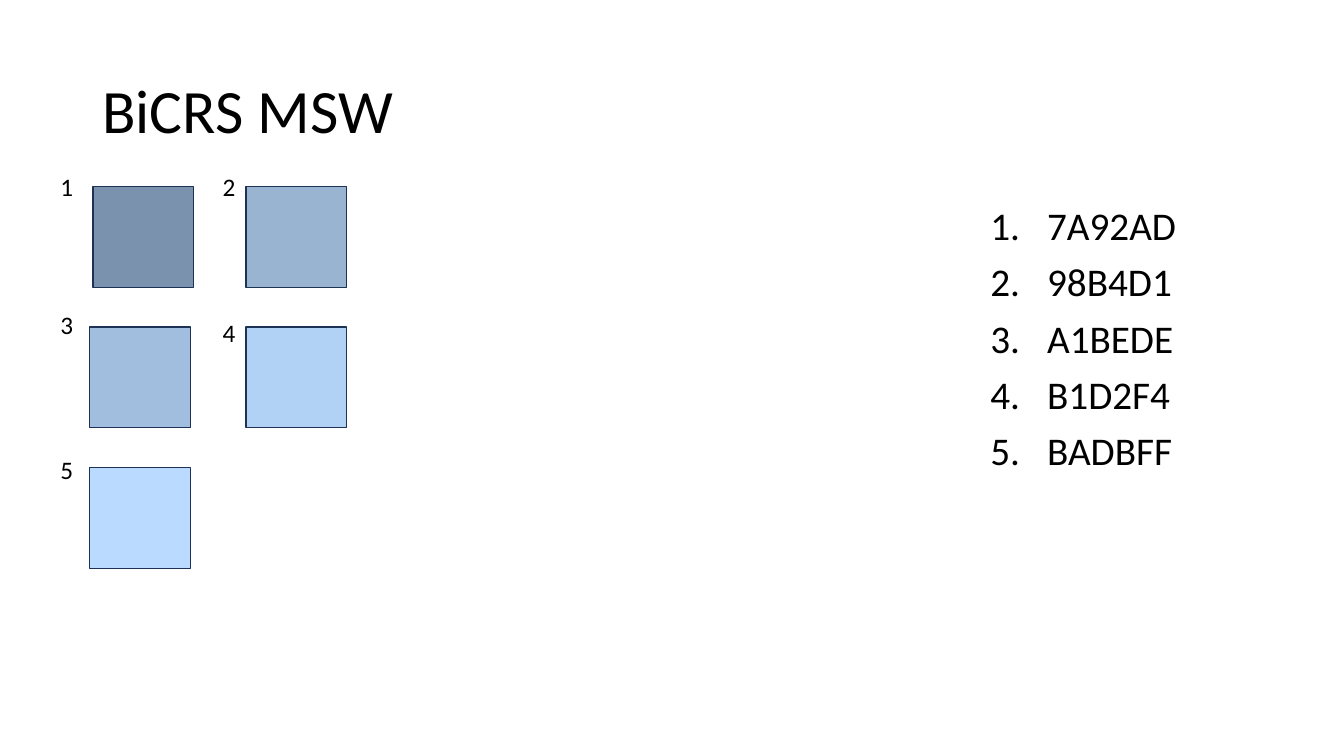
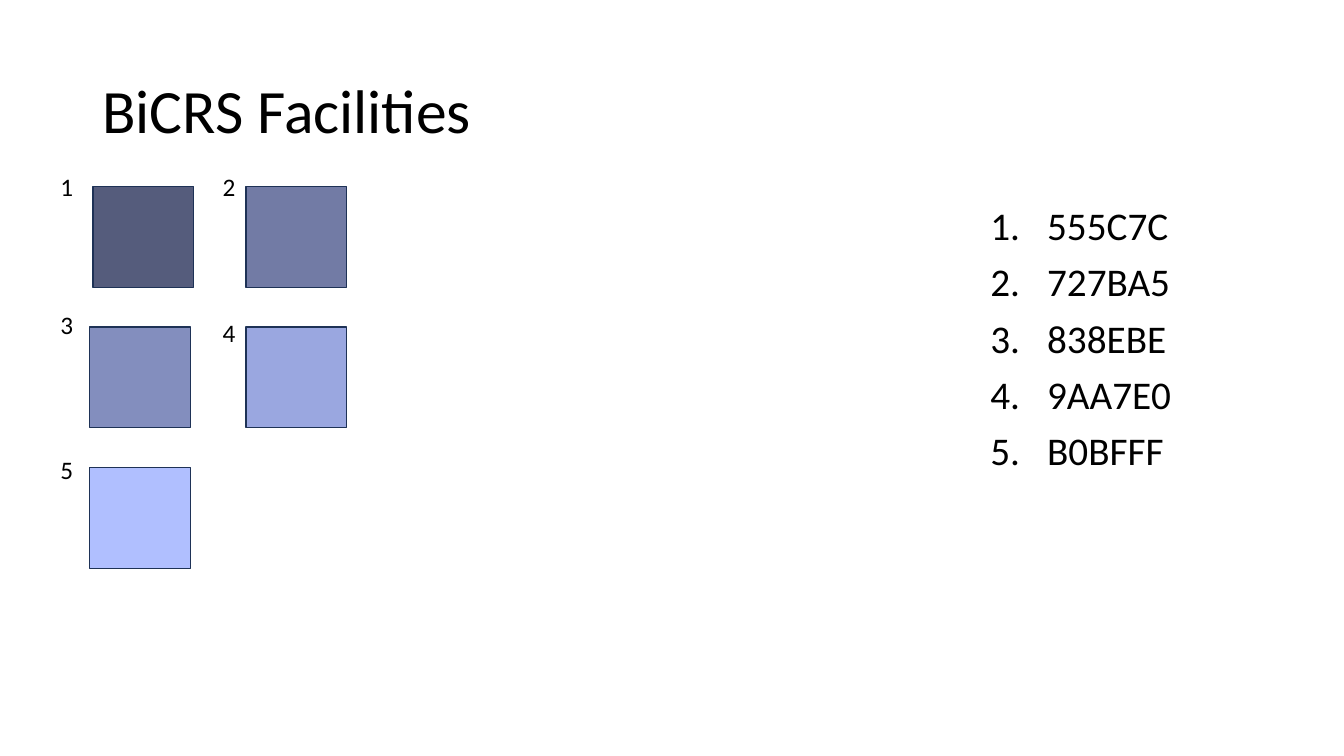
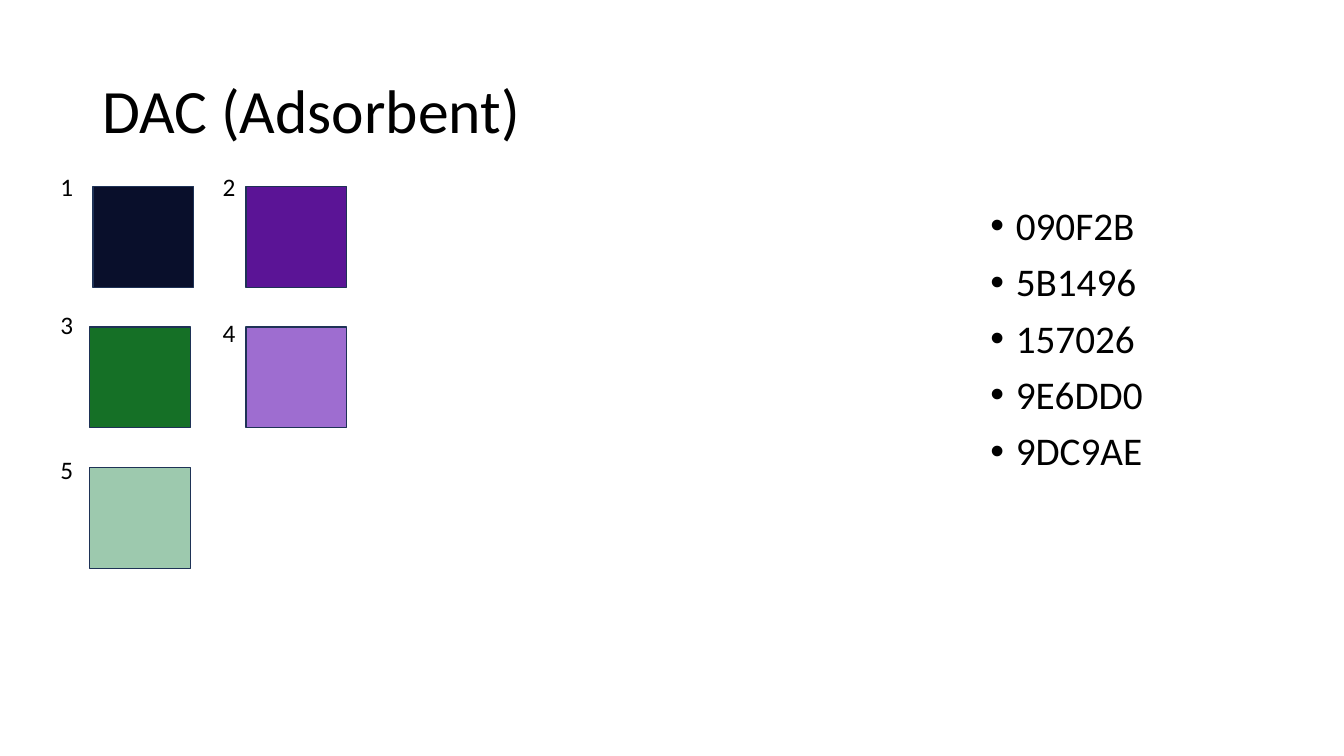
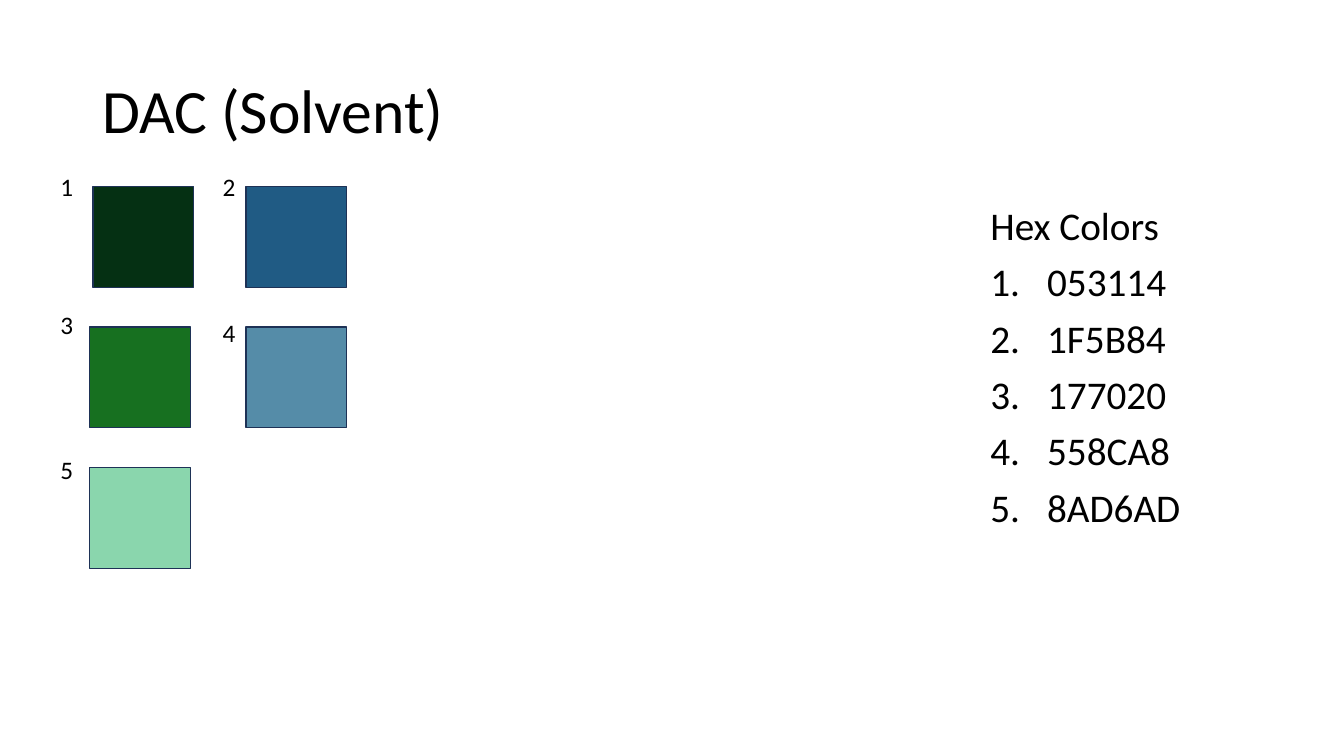
from pptx import Presentation
from pptx.dml.color import RGBColor
from pptx.enum.shapes import MSO_SHAPE
from pptx.enum.text import MSO_ANCHOR, MSO_AUTO_SIZE
from pptx.oxml import parse_xml
from pptx.oxml.ns import nsdecls
from pptx.util import Cm, Pt

RECT = MSO_SHAPE.RECTANGLE
MIDDLE = MSO_ANCHOR.MIDDLE
GROW = MSO_AUTO_SIZE.SHAPE_TO_FIT_TEXT

INK = "000000"
EDGE = "1E3256"
FONT = "Calibri"

SLIDES = [
    {"title": "BiCRS MSW", "mark": "number",
     "codes": ["7A92AD", "98B4D1", "A1BEDE", "B1D2F4", "BADBFF"]},
    {"title": "BiCRS Facilities", "mark": "number",
     "codes": ["555C7C", "727BA5", "838EBE", "9AA7E0", "B0BFFF"]},
    {"title": "DAC (Adsorbent)", "mark": "dot",
     "codes": ["090F2B", "5B1496", "157026", "9E6DD0", "9DC9AE"]},
    {"title": "DAC (Solvent)", "mark": "number", "head": "Hex Colors",
     "codes": ["053114", "1F5B84", "177020", "558CA8", "8AD6AD"],
     "fills": ["053013", "205B84", "177020", "558CA8", "8AD6AD"]},
]

MARKS = {
    "number": (1.43, '<a:buFont {} typeface="+mj-lt"/>',
               '<a:buAutoNum {} type="arabicPeriod"/>'),
    "dot": (0.64, '<a:buFont {} typeface="Arial"/>', '<a:buChar {} char="•"/>'),
}

TITLE = (2.33, 1.01, 29.21, 3.68)
LIST = (24.71, 5.08, 6.83, 12.09)
SIDE = 2.54
TOP, STEP = 4.7, 3.54
LEFTS = [2.34, 6.2, 2.26, 6.2, 2.26]
TAG_LEFTS = [1.27, 5.36]
TAG_TOPS = [4.19, 4.19, 7.67, 7.87, 11.33]


def color(code):
    return RGBColor.from_string(code)


def assign(item, values):
    for name, value in values.items():
        setattr(item, name, value)


def write(para, text, size, **values):
    para.text = text
    assign(para, values)
    assign(para.font, {"name": FONT, "size": Pt(size)})
    para.font.color.rgb = color(INK)


def add_box(slide, place, **values):
    frame = slide.shapes.add_textbox(*map(Cm, place)).text_frame
    assign(frame, {"word_wrap": True, **values})
    return frame


def add_mark(para, kind):
    indent, *parts = MARKS[kind]
    props = para._p.get_or_add_pPr()
    props.set("marL", str(Cm(indent)))
    props.set("indent", str(-Cm(indent)))
    for part in parts:
        props.append(parse_xml(part.format(nsdecls("a"))))


def add_title(slide, text):
    frame = add_box(slide, TITLE, vertical_anchor=MIDDLE)
    write(frame.paragraphs[0], text, 44, line_spacing=0.9)


def add_list(slide, page):
    frame = add_box(slide, LIST)
    rows = [(code, page["mark"]) for code in page["codes"]]
    if "head" in page:
        rows.insert(0, (page["head"], None))
    for index, (text, mark) in enumerate(rows):
        para = frame.add_paragraph() if index else frame.paragraphs[0]
        if mark:
            add_mark(para, mark)
        write(para, text, 28, line_spacing=0.9,
              space_before=Pt(10 if index else 0))


def add_swatch(slide, index, fill):
    place = (LEFTS[index], TOP + index // 2 * STEP, SIDE, SIDE)
    swatch = slide.shapes.add_shape(RECT, *map(Cm, place))
    swatch.shadow.inherit = False
    swatch.fill.solid()
    swatch.fill.fore_color.rgb = color(fill)
    swatch.line.color.rgb = color(EDGE)
    swatch.line.width = Pt(1)


def add_tag(slide, index):
    place = (TAG_LEFTS[index % 2], TAG_TOPS[index], 0.84, 1.02)
    frame = add_box(slide, place, word_wrap=False, auto_size=GROW)
    write(frame.paragraphs[0], str(index + 1), 18)


def main():
    deck = Presentation()
    assign(deck, {"slide_width": Cm(33.87), "slide_height": Cm(19.05)})
    for page in SLIDES:
        slide = deck.slides.add_slide(deck.slide_layouts[6])
        add_title(slide, page["title"])
        add_list(slide, page)
        for index, fill in enumerate(page.get("fills", page["codes"])):
            add_swatch(slide, index, fill)
            add_tag(slide, index)
    deck.save("out.pptx")


if __name__ == "__main__":
    main()
